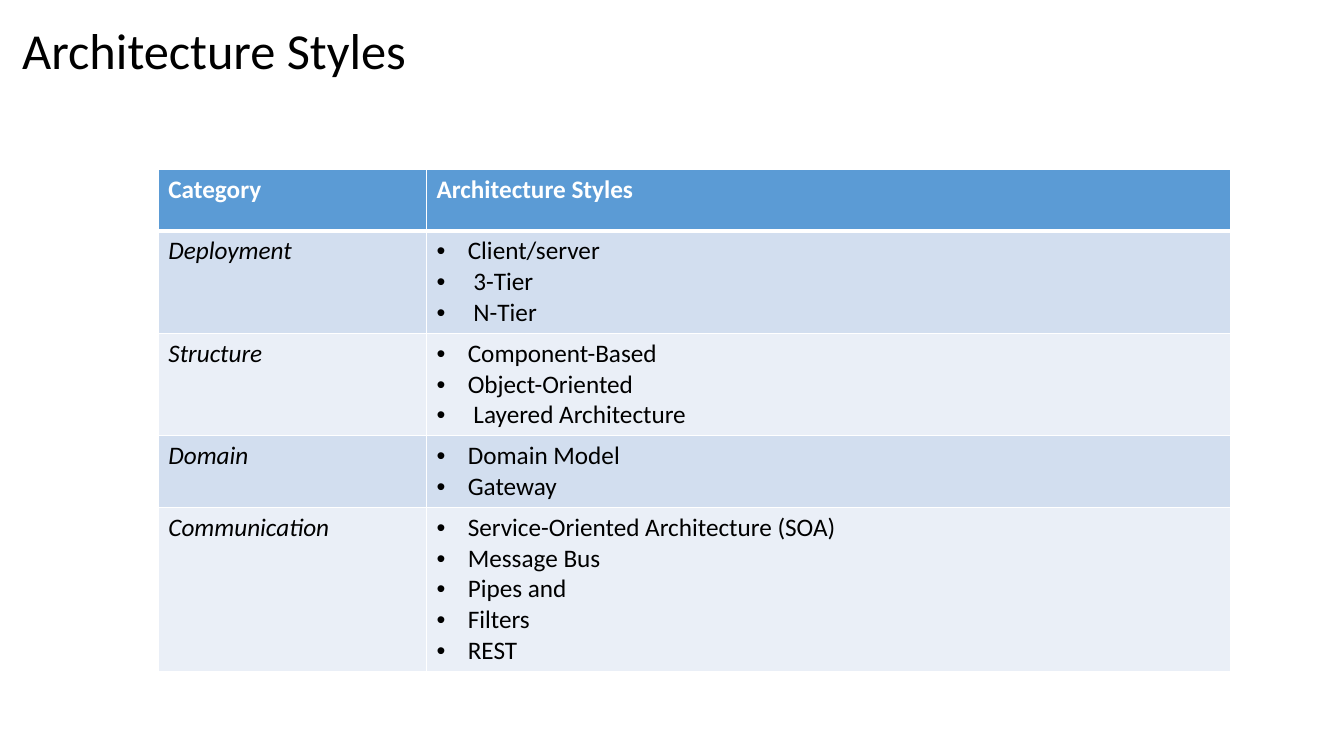
"""Build the slide listing architecture styles by category."""
from dataclasses import dataclass

from lxml.etree import SubElement
from pptx import Presentation
from pptx.dml.color import RGBColor
from pptx.enum.text import MSO_ANCHOR, PP_ALIGN
from pptx.oxml.ns import qn
from pptx.util import Inches, Pt


@dataclass(frozen=True)
class Theme:
    """Hold the colours, font and type sizes."""
    font: str = "Calibri"
    ink: str = "000000"
    white: str = "FFFFFF"
    header: str = "5B9BD5"
    bands: tuple = ("D2DEEF", "EAEFF7")
    title_size: int = 36
    body_size: int = 18
    rule: int = 1
    header_rule: int = 3
    bullet_indent: float = 0.31


STYLES = {
    "Deployment": ["Client/server", " 3-Tier", " N-Tier"],
    "Structure": ["Component-Based", "Object-Oriented", " Layered Architecture"],
    "Domain": ["Domain Model", "Gateway"],
    "Communication": ["Service-Oriented Architecture (SOA)", "Message Bus",
                      "Pipes and", "Filters", "REST"],
}
HEADINGS = ("Category", "Architecture Styles")
COLUMN_WIDTHS = (2.66, 7.98)
ROW_HEIGHTS = (0.61, 0.61, 0.61, 0.61, 1.06)


class Page:
    """Draw styled elements on one slide."""

    def __init__(self, slide, theme):
        """Keep the slide and its theme."""
        self.slide = slide
        self.theme = theme

    def add_span(self, paragraph, text, size, color, bold=False, italic=False):
        """Add one formatted run to a paragraph."""
        span = paragraph.add_run()
        span.text = text
        formats = {"name": self.theme.font, "size": Pt(size),
                   "bold": bold, "italic": italic}
        for name, value in formats.items():
            setattr(span.font, name, value)
        span.font.color.rgb = RGBColor.from_string(color)

    def title(self, text, left, top, width, height):
        """Place and fill the title placeholder."""
        box = self.slide.shapes.title
        places = {"left": left, "top": top, "width": width, "height": height}
        for name, value in places.items():
            setattr(box, name, Inches(value))
        box.text_frame.vertical_anchor = MSO_ANCHOR.BOTTOM
        paragraph = box.text_frame.paragraphs[0]
        paragraph.alignment = PP_ALIGN.LEFT
        paragraph.line_spacing = 0.9
        self.add_span(paragraph, text, self.theme.title_size, self.theme.ink)

    def bullet(self, paragraph):
        """Give a paragraph a hanging bullet."""
        properties = paragraph._p.get_or_add_pPr()
        indent = Inches(self.theme.bullet_indent)
        properties.set("marL", str(indent))
        properties.set("indent", str(-indent))
        SubElement(properties, qn("a:buFont"), typeface="Arial")
        SubElement(properties, qn("a:buChar"), char="•")

    def borders(self, cell, top, bottom):
        """Rule the four sides of a cell in white."""
        properties = cell._tc.get_or_add_tcPr()
        sides = {"L": self.theme.rule, "R": self.theme.rule, "T": top, "B": bottom}
        for side, width in sides.items():
            line = SubElement(properties, qn(f"a:ln{side}"), w=str(Pt(width)))
            fill = SubElement(line, qn("a:solidFill"))
            SubElement(fill, qn("a:srgbClr"), val=self.theme.white)

    def cell(self, cell, lines, row, bulleted=False, italic=False):
        """Fill one cell with header or body text."""
        theme = self.theme
        is_header = row == 0
        top = theme.header_rule if row == 1 else theme.rule
        bottom = theme.header_rule if is_header else theme.rule
        self.borders(cell, top, bottom)
        cell.fill.solid()
        fill = theme.header if is_header else theme.bands[(row - 1) % 2]
        cell.fill.fore_color.rgb = RGBColor.from_string(fill)
        color = theme.white if is_header else theme.ink
        frame = cell.text_frame
        for index, text in enumerate(lines):
            paragraph = frame.add_paragraph() if index else frame.paragraphs[0]
            if bulleted:
                self.bullet(paragraph)
            self.add_span(paragraph, text, theme.body_size, color, is_header, italic)

    def style_table(self, left, top, width, height):
        """Add the table of categories and their styles."""
        frame = self.slide.shapes.add_table(
            len(ROW_HEIGHTS), len(COLUMN_WIDTHS),
            Inches(left), Inches(top), Inches(width), Inches(height))
        table = frame.table
        for column, size in zip(table.columns, COLUMN_WIDTHS):
            column.width = Inches(size)
        for row, size in zip(table.rows, ROW_HEIGHTS):
            row.height = Inches(size)
        frame.height = Inches(height)
        for column, heading in enumerate(HEADINGS):
            self.cell(table.cell(0, column), [heading], 0)
        for row, (category, names) in enumerate(STYLES.items(), 1):
            self.cell(table.cell(row, 0), [category], row, italic=True)
            self.cell(table.cell(row, 1), names, row, bulleted=True)


def main():
    """Build and save the deck."""
    deck = Presentation()
    deck.slide_width = Inches(13.33)
    deck.slide_height = Inches(7.5)
    page = Page(deck.slides.add_slide(deck.slide_layouts[5]), Theme())
    page.title("Architecture Styles", 0.12, 0, 10, 0.85)
    page.style_table(1.57, 1.68, 10.64, 4.91)
    deck.save("out.pptx")


if __name__ == "__main__":
    main()
